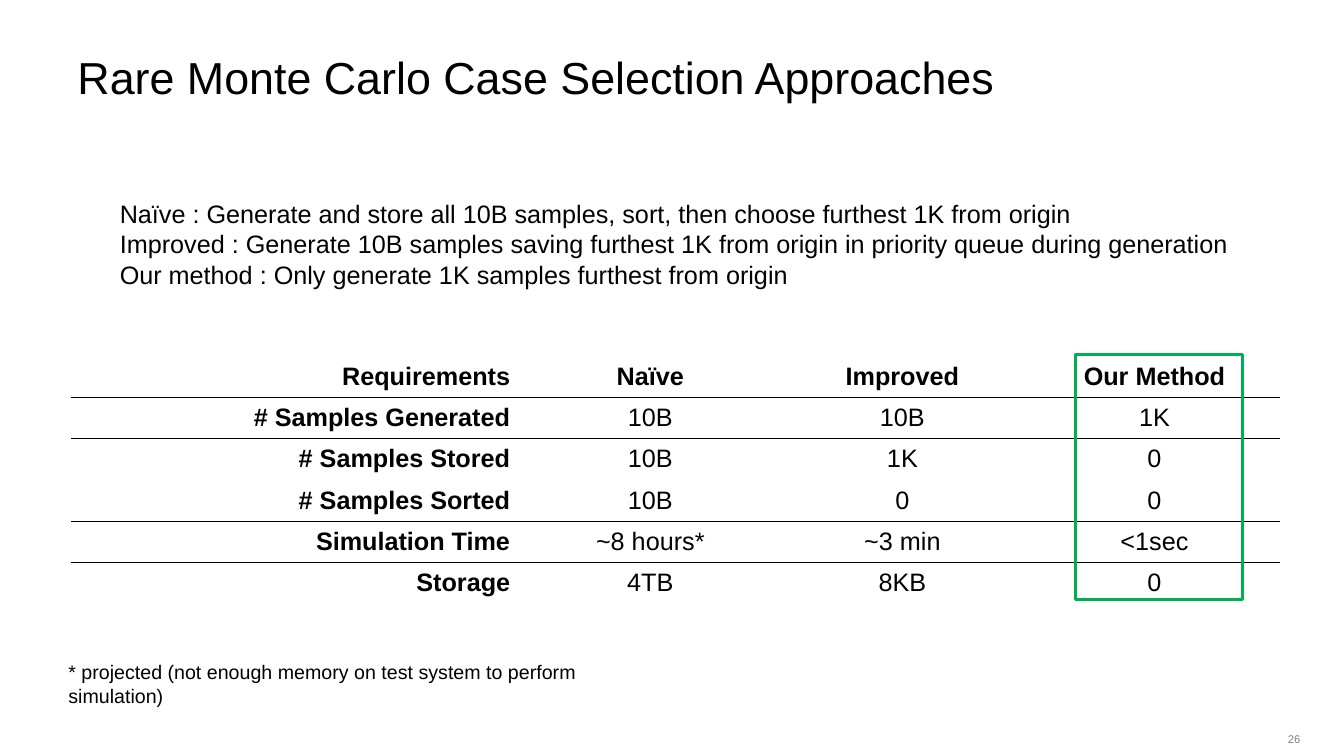
from dataclasses import dataclass

from lxml.etree import SubElement
from pptx import Presentation
from pptx.dml.color import RGBColor
from pptx.enum.shapes import MSO_SHAPE
from pptx.enum.text import MSO_ANCHOR as Anchor, PP_ALIGN as Align
from pptx.oxml import parse_xml
from pptx.oxml.ns import nsdecls, qn
from pptx.slide import Slide
from pptx.table import _Cell as Cell
from pptx.text.text import TextFrame
from pptx.util import Inches, Pt

FONT = "Arial"
BLACK, GREY, GREEN = "000000", "808080", "00B050"
NO_STYLE = "{2D5ABB26-0587-4C30-8999-92F81FD0307C}"


@dataclass
class Label:
    """A text box: its place in inches, its lines and their format."""
    left: float
    top: float
    width: float
    height: float
    lines: list[str]
    size: int
    color: str = BLACK
    align: Align = Align.LEFT
    anchor: Anchor = Anchor.TOP
    wrap: bool = True


@dataclass
class Requirement:
    """A table row: its heading, one value per method, and a rule below."""
    name: str
    values: list[str]
    ruled: bool = True
    bold: bool = False


LABELS = [
    Label(12.37, 7.22, 0.93, 0.24, ["26"], 8, GREY, Align.CENTER),
    Label(0.67, 0.07, 12.67, 1.01, ["Rare Monte Carlo Case Selection Approaches"],
          32, anchor=Anchor.BOTTOM),
    Label(1.09, 1.92, 11.23, 1.01, [
        "Naïve : Generate and store all 10B samples, sort, then choose furthest 1K from origin",
        "Improved : Generate 10B samples saving furthest 1K from origin in priority queue during generation",
        "Our method : Only generate 1K samples furthest from origin",
    ], 18, wrap=False),
    Label(0.58, 6.5, 6, 0.34,
          ["* projected (not enough memory on test system to perform simulation)"], 14),
]

REQUIREMENTS = [
    Requirement("Requirements", ["Naïve", "Improved", "Our Method"], bold=True),
    Requirement("# Samples Generated", ["10B", "10B", "1K"]),
    Requirement("# Samples Stored", ["10B", "1K", "0"], ruled=False),
    Requirement("# Samples Sorted", ["10B", "0", "0"]),
    Requirement("Simulation Time", ["~8 hours*", "~3 min", "<1sec"]),
    Requirement("Storage", ["4TB", "8KB", "0"], ruled=False),
]


def colour(code: str) -> RGBColor:
    return RGBColor.from_string(code)


def write(frame: TextFrame, lines: list[str], *, size: int, color: str = BLACK,
          align: Align = Align.LEFT, bold: bool = False) -> None:
    for number, line in enumerate(lines):
        para = frame.add_paragraph() if number else frame.paragraphs[0]
        para.alignment = align
        span = para.add_run()
        span.text = line
        span.font.name = FONT
        span.font.size = Pt(size)
        span.font.bold = bold
        span.font.color.rgb = colour(color)


def add_label(page: Slide, label: Label) -> None:
    box = page.shapes.add_textbox(Inches(label.left), Inches(label.top),
                                  Inches(label.width), Inches(label.height))
    frame = box.text_frame
    frame.word_wrap = label.wrap
    frame.vertical_anchor = label.anchor
    write(frame, label.lines, size=label.size, color=label.color, align=label.align)


def rule_below(cell: Cell) -> None:
    line = parse_xml(
        f'<a:lnB {nsdecls("a")} w="{Pt(1)}"><a:solidFill>'
        f'<a:srgbClr val="{BLACK}"/></a:solidFill></a:lnB>')
    cell._tc.get_or_add_tcPr().insert(0, line)


def fill_cell(cell: Cell, text: str, align: Align, bold: bool, ruled: bool) -> None:
    cell.fill.background()
    cell.vertical_anchor = Anchor.MIDDLE
    cell.margin_left = cell.margin_right = Inches(0.14)
    cell.margin_top = cell.margin_bottom = Inches(0.05)
    write(cell.text_frame, [text], size=18, align=align, bold=bold)
    if ruled:
        rule_below(cell)


def add_requirements(page: Slide) -> None:
    table = page.shapes.add_table(len(REQUIREMENTS), 4, Inches(0.7), Inches(3.54),
                                  Inches(12), Inches(2.41)).table
    table.first_row = table.horz_banding = False
    properties = table._tbl.tblPr
    for style in properties.findall(qn("a:tableStyleId")):
        properties.remove(style)
    SubElement(properties, qn("a:tableStyleId")).text = NO_STYLE

    for index, column in enumerate(table.columns):
        column.width = Inches(2.5 if index else 4.5)
    for index, row in enumerate(table.rows):
        row.height = Inches(0.41 if index else 0.36)
        item = REQUIREMENTS[index]
        name, *values = row.cells
        fill_cell(name, item.name, Align.RIGHT, True, item.ruled)
        for cell, value in zip(values, item.values):
            fill_cell(cell, value, Align.CENTER, item.bold, item.ruled)


def add_highlight(page: Slide) -> None:
    frame = page.shapes.add_shape(MSO_SHAPE.RECTANGLE, Inches(10.67), Inches(3.52),
                                  Inches(1.65), Inches(2.43))
    frame.shadow.inherit = False
    frame.fill.background()
    frame.line.color.rgb = colour(GREEN)
    frame.line.width = Pt(2)


def main() -> None:
    deck = Presentation()
    deck.slide_width, deck.slide_height = Inches(13.33), Inches(7.5)
    page = deck.slides.add_slide(deck.slide_layouts[6])

    # Title, explanation, footnote and page number
    for label in LABELS:
        add_label(page, label)

    # Comparison table with our method framed
    add_requirements(page)
    add_highlight(page)
    deck.save("out.pptx")


if __name__ == "__main__":
    main()
